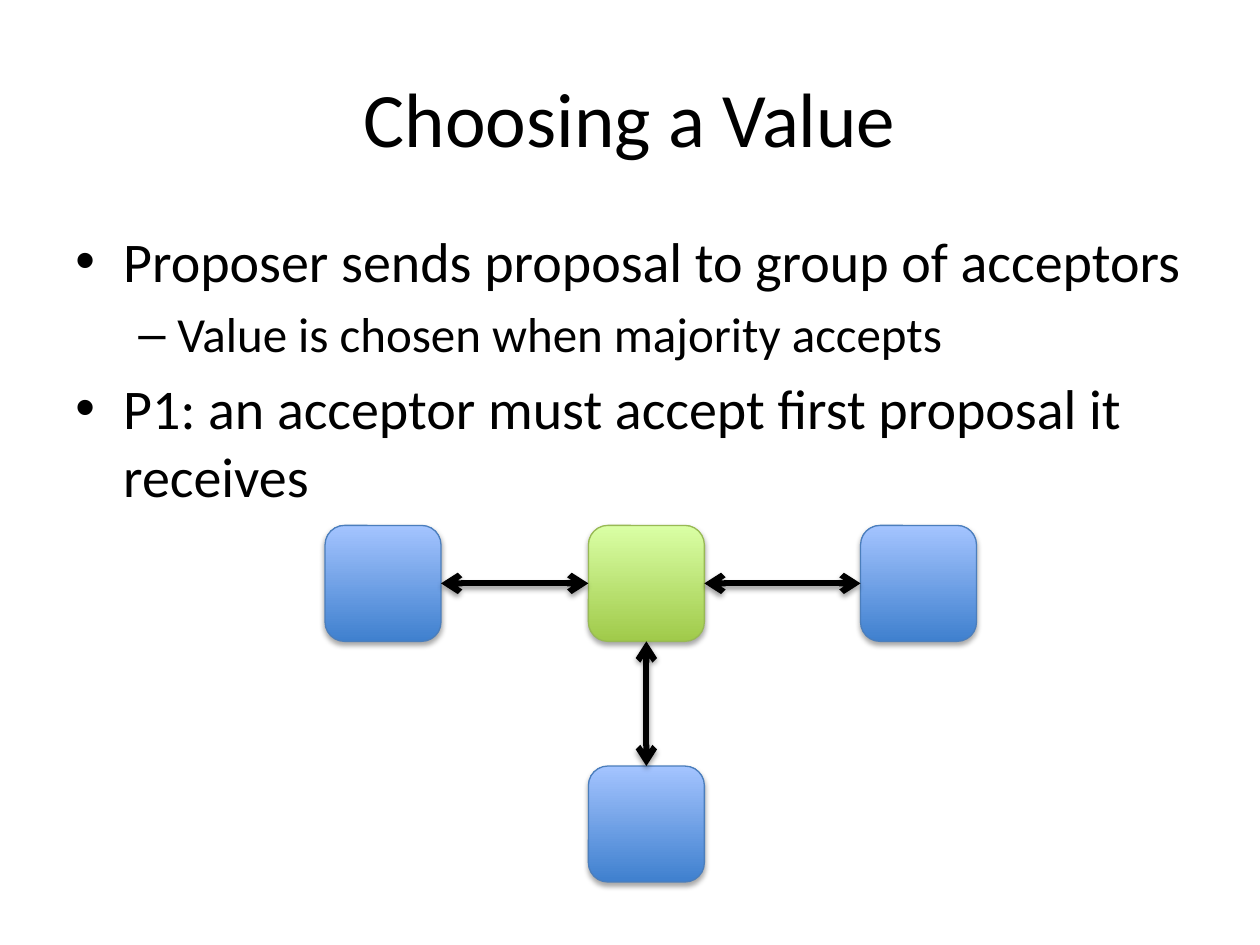
from lxml.etree import SubElement
from pptx import Presentation
from pptx.dml.color import RGBColor
from pptx.enum.shapes import MSO_CONNECTOR, MSO_SHAPE
from pptx.enum.text import MSO_ANCHOR, PP_ALIGN
from pptx.oxml.ns import qn
from pptx.util import Inches, Pt

FONT = "Calibri"
BLACK = "000000"
TITLE = "Choosing a Value"
BULLETS = [
    (0, "Proposer sends proposal to group of acceptors"),
    (1, "Value is chosen when majority accepts"),
    (0, "P1: an acceptor must accept first proposal it receives"),
]
LEVELS = [
    {"mark": "•", "size": 32, "margin": 0.38, "hang": 0.38},
    {"mark": "–", "size": 28, "margin": 0.81, "hang": 0.31},
]
GREEN = {"bottom": "A0CA4A", "top": "DAFFA5", "edge": "98B955"}
BLUE = {"bottom": "3F80CE", "top": "A4C4FF", "edge": "4B7EBC"}
NODE_SIZE = 0.92
NODES = {
    "proposer": (4.67, 4.17, GREEN),
    "right acceptor": (6.83, 4.17, BLUE),
    "left acceptor": (2.58, 4.17, BLUE),
    "lower acceptor": (4.67, 6.08, BLUE),
}
SIDES = {"right": (1, 0.5), "left": (0, 0.5), "bottom": (0.5, 1), "top": (0.5, 0)}
LINKS = [
    ("proposer", "right", "right acceptor", "left"),
    ("left acceptor", "right", "proposer", "left"),
    ("proposer", "bottom", "lower acceptor", "top"),
]


def color(value):
    return RGBColor.from_string(value)


def style_text(para, size):
    for span in para.runs:
        span.font.name = FONT
        span.font.size = Pt(size)
        span.font.color.rgb = color(BLACK)


def add_shadow(shape, distance, opacity):
    effects = SubElement(shape._element.spPr, qn("a:effectLst"))
    shadow = SubElement(
        effects, qn("a:outerShdw"), blurRad=str(Pt(3.1)), dist=str(Pt(distance)),
        dir="5400000", rotWithShape="0")
    shade = SubElement(shadow, qn("a:srgbClr"), val=BLACK)
    SubElement(shade, qn("a:alpha"), val=str(opacity * 1000))


def add_title(page):
    title = page.shapes.title
    title.left, title.top = Inches(0.5), Inches(0.3)
    title.width, title.height = Inches(9), Inches(1.25)
    title.text_frame.text = TITLE
    title.text_frame.vertical_anchor = MSO_ANCHOR.MIDDLE
    para = title.text_frame.paragraphs[0]
    para.alignment = PP_ALIGN.CENTER
    style_text(para, 44)


def add_bullets(page):
    box = page.shapes.add_textbox(Inches(0.5), Inches(1.75), Inches(9), Inches(4.95))
    frame = box.text_frame
    frame.word_wrap = True
    frame.text = "\n".join(text for _, text in BULLETS)
    for para, (depth, _) in zip(frame.paragraphs, BULLETS):
        level = LEVELS[depth]
        para.level = depth
        para.space_before = Pt(level["size"] * 0.2)
        style_text(para, level["size"])
        props = para._p.get_or_add_pPr()
        props.set("marL", str(Inches(level["margin"])))
        props.set("indent", str(-Inches(level["hang"])))
        SubElement(props, qn("a:buFont"), typeface="Arial")
        SubElement(props, qn("a:buChar"), char=level["mark"])


def add_node(page, left, top, palette):
    node = page.shapes.add_shape(
        MSO_SHAPE.ROUNDED_RECTANGLE, Inches(left), Inches(top),
        Inches(NODE_SIZE), Inches(NODE_SIZE))
    node.fill.gradient()
    node.fill.gradient_angle = 90
    for stop, position, side in zip(node.fill.gradient_stops, (0, 1), ("bottom", "top")):
        stop.position = position
        stop.color.rgb = color(palette[side])
    node.line.color.rgb = color(palette["edge"])
    node.line.width = Pt(0.75)
    add_shadow(node, 1.8, 35)


def side_point(name, side):
    left, top, _ = NODES[name]
    across, down = SIDES[side]
    return Inches(left + across * NODE_SIZE), Inches(top + down * NODE_SIZE)


def add_link(page, start, start_side, end, end_side):
    link = page.shapes.add_connector(
        MSO_CONNECTOR.STRAIGHT, *side_point(start, start_side), *side_point(end, end_side))
    link.line.color.rgb = color(BLACK)
    link.line.width = Pt(3.5)
    outline = link.line._get_or_add_ln()
    for tip in ("a:headEnd", "a:tailEnd"):
        SubElement(outline, qn(tip), type="arrow")
    add_shadow(link, 1.6, 38)


def main():
    deck = Presentation()
    deck.slide_width, deck.slide_height = Inches(10), Inches(7.5)
    page = deck.slides.add_slide(deck.slide_layouts.get_by_name("Title Only"))
    add_title(page)
    add_bullets(page)
    for node in NODES.values():
        add_node(page, *node)
    for link in LINKS:
        add_link(page, *link)
    deck.save("out.pptx")


if __name__ == "__main__":
    main()
